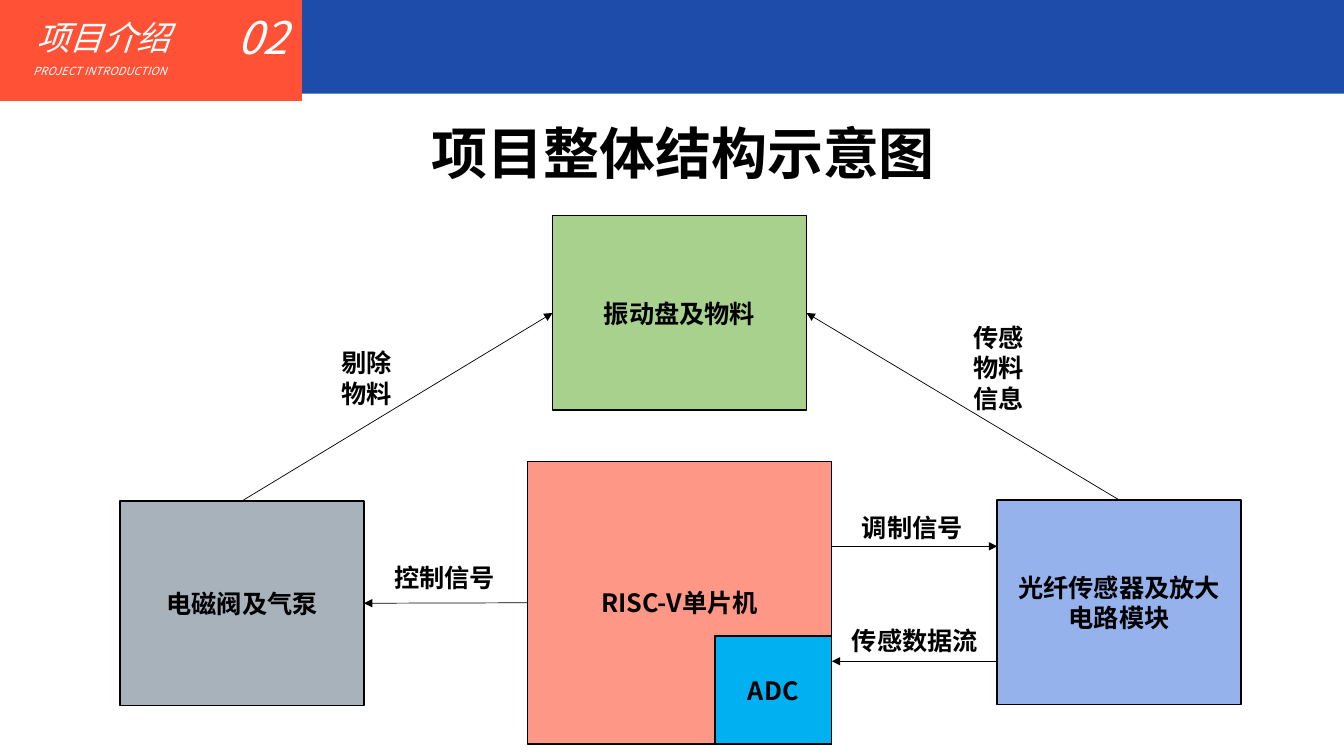
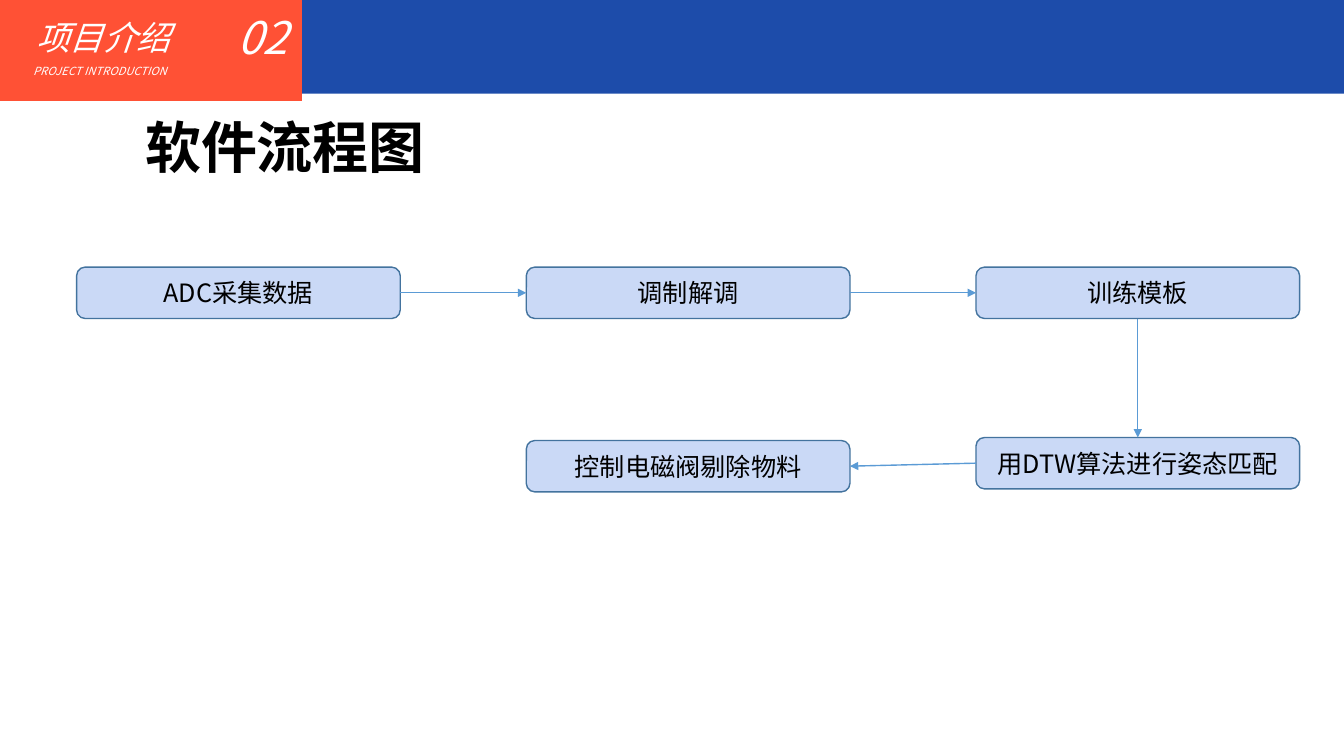
from lxml.etree import SubElement
from pptx import Presentation
from pptx.dml.color import RGBColor
from pptx.enum.shapes import MSO_CONNECTOR, MSO_SHAPE
from pptx.enum.text import MSO_ANCHOR, PP_ALIGN
from pptx.oxml.ns import qn
from pptx.util import Inches, Pt

FONT = "Noto Sans CJK SC"
WHITE = RGBColor(0xFF, 0xFF, 0xFF)
BLACK = RGBColor(0x00, 0x00, 0x00)
BAND_BLUE = RGBColor(0x1D, 0x4C, 0xAA)
TAB_ORANGE = RGBColor(0xFF, 0x51, 0x35)
VALVE_GRAY = RGBColor(0xA7, 0xB2, 0xBB)
MCU_SALMON = RGBColor(0xFF, 0x97, 0x86)
SENSOR_BLUE = RGBColor(0x95, 0xB2, 0xED)
ADC_CYAN = RGBColor(0x00, 0xB0, 0xF0)
TRAY_GREEN = RGBColor(0xA9, 0xD1, 0x8E)
STEP_FILL = RGBColor(0xCA, 0xD9, 0xF6)
STEP_LINE = RGBColor(0x43, 0x73, 0x9E)
STEP_ARROW = RGBColor(0x5B, 0x9B, 0xD5)

TOP, LEFT, BOTTOM, RIGHT = range(4)
BAND_H = 0.93


def write(tf, text, size, color=BLACK, bold=False, italic=False, align=None):
    p = tf.paragraphs[0]
    p.text = text
    p.alignment = align
    font = p.font
    font.size = Pt(size)
    font.bold = bold
    font.italic = italic
    font.color.rgb = color
    font.name = FONT
    SubElement(p._p.pPr.find(qn("a:defRPr")), qn("a:ea"), typeface=FONT)
    return p


def add_text(s, x, y, w, h, text, size, wrap=True, **style):
    tf = s.shapes.add_textbox(Inches(x), Inches(y), Inches(w), Inches(h)).text_frame
    tf.word_wrap = wrap
    return write(tf, text, size, **style)


def paint(sp, fill, line=None):
    sp.shadow.inherit = False
    sp.fill.solid()
    sp.fill.fore_color.rgb = fill
    if line is None:
        sp.line.fill.background()
    else:
        sp.line.color.rgb = line
        sp.line.width = Pt(1)


def add_box(s, x, y, w, h, text, fill, line=BLACK, kind=MSO_SHAPE.RECTANGLE, bold=True):
    sp = s.shapes.add_shape(kind, Inches(x), Inches(y), Inches(w), Inches(h))
    paint(sp, fill, line)
    tf = sp.text_frame
    tf.word_wrap = True
    tf.vertical_anchor = MSO_ANCHOR.MIDDLE
    write(tf, text, 18, bold=bold, align=PP_ALIGN.CENTER)
    return sp


def add_step(s, x, y, text):
    return add_box(s, x, y, 3.21, 0.51, text, STEP_FILL, STEP_LINE,
                   MSO_SHAPE.ROUNDED_RECTANGLE, bold=False)


def add_arrow(s, x1, y1, x2, y2, color=BLACK, width=0.5):
    cn = s.shapes.add_connector(MSO_CONNECTOR.STRAIGHT,
                                Inches(x1), Inches(y1), Inches(x2), Inches(y2))
    cn.line.color.rgb = color
    cn.line.width = Pt(width)
    SubElement(cn.line._get_or_add_ln(), qn("a:tailEnd"), type="triangle")
    SubElement(cn._element.spPr, qn("a:effectLst"))
    return cn


def link(s, start, start_side, end, end_side, color=BLACK, width=0.5):
    cn = add_arrow(s, 0, 0, 1, 1, color, width)
    cn.begin_connect(start, start_side)
    cn.end_connect(end, end_side)


def add_header(s):
    band = s.shapes.add_shape(MSO_SHAPE.RECTANGLE, 0, 0, Inches(13.33), Inches(BAND_H))
    paint(band, BAND_BLUE)
    fb = s.shapes.build_freeform(0, 0, scale=Inches(1))
    fb.add_line_segments([(3.3, 0), (2.94, BAND_H), (0, BAND_H)], close=True)
    paint(fb.convert_to_shape(), TAB_ORANGE)
    style = {"color": WHITE, "italic": True}
    add_text(s, 2.26, 0.05, 0.73, 0.64, "02", 32, wrap=False, **style)
    add_text(s, 0.26, 0.12, 1.97, 0.5, "项目介绍", 24, **style)
    p = add_text(s, 0.23, 0.57, 2.02, 0.25, "PROJECT INTRODUCTION", 8,
                 align=PP_ALIGN.JUSTIFY, **style)
    p.line_spacing = 1.14


def new_slide(prs, title, x, y, w):
    s = prs.slides.add_slide(prs.slide_layouts[6])
    add_header(s)
    add_text(s, x, y, w, 0.77, title, 40, bold=True)
    return s


def build_structure(prs):
    s = new_slide(prs, "项目整体结构示意图", 4.18, 1.13, 6.33)
    valve = add_box(s, 1.19, 4.97, 2.42, 2.03, "电磁阀及气泵", VALVE_GRAY)
    mcu = add_box(s, 5.23, 4.58, 3.02, 2.8, "RISC-V单片机", MCU_SALMON)
    sensor = add_box(s, 9.89, 4.96, 2.42, 2.03, "光纤传感器及放大电路模块", SENSOR_BLUE)
    add_box(s, 7.09, 6.31, 1.16, 1.07, "ADC", ADC_CYAN)
    tray = add_box(s, 5.48, 2.14, 2.52, 1.93, "振动盘及物料", TRAY_GREEN)

    link(s, mcu, LEFT, valve, RIGHT)
    link(s, valve, TOP, tray, LEFT)
    link(s, sensor, TOP, tray, RIGHT)
    add_arrow(s, 8.25, 5.42, 9.89, 5.42)
    add_arrow(s, 9.89, 6.56, 8.25, 6.56)

    for x, y, w, h, text in [
        (8.45, 5.03, 2.62, 0.4, "调制信号"),
        (8.35, 6.15, 2.62, 0.4, "传感数据流"),
        (3.81, 5.53, 2.62, 0.4, "控制信号"),
        (3.29, 3.4, 0.8, 0.71, "剔除物料"),
        (9.56, 3.15, 0.8, 1.01, "传感物料信息"),
    ]:
        add_text(s, x, y, w, h, text, 18, bold=True)


def build_flow(prs):
    s = new_slide(prs, "软件流程图", 1.34, 1.07, 3.18)
    left, pitch, top = 0.76, 4.46, 2.65
    sample, demodulate, train = [
        add_step(s, left + i * pitch, top, text)
        for i, text in enumerate(["ADC采集数据", "调制解调", "训练模板"])
    ]
    match = add_step(s, left + 2 * pitch, 4.34, "用DTW算法进行姿态匹配")
    reject = add_step(s, left + pitch, 4.37, "控制电磁阀剔除物料")
    for start, start_side, end, end_side in [
        (sample, RIGHT, demodulate, LEFT),
        (demodulate, RIGHT, train, LEFT),
        (train, BOTTOM, match, TOP),
        (match, LEFT, reject, RIGHT),
    ]:
        link(s, start, start_side, end, end_side, STEP_ARROW, 1)


def main():
    prs = Presentation()
    prs.slide_width = Inches(13.33)
    prs.slide_height = Inches(7.5)
    build_structure(prs)
    build_flow(prs)
    prs.save("out.pptx")


if __name__ == "__main__":
    main()
